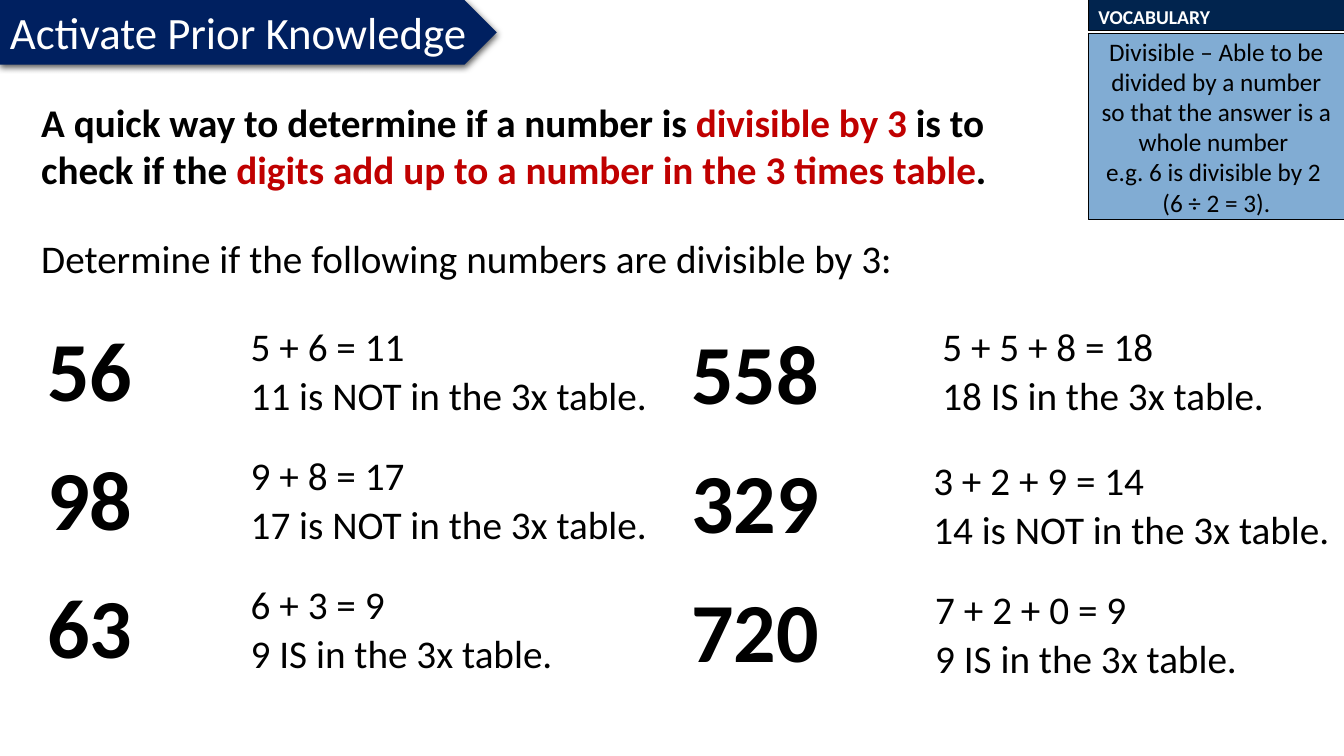
from lxml.etree import SubElement
from pptx import Presentation
from pptx.dml.color import RGBColor
from pptx.enum.shapes import MSO_SHAPE
from pptx.enum.text import MSO_ANCHOR, MSO_AUTO_SIZE, PP_ALIGN
from pptx.oxml.ns import qn
from pptx.util import Cm, Pt

NAVY = RGBColor(0x00, 0x20, 0x60)
DARK_NAVY = RGBColor(0x01, 0x24, 0x4E)
BLUE = RGBColor(0x2E, 0x75, 0xB6)
RED = RGBColor(0xC0, 0x00, 0x00)
BLACK = RGBColor(0x00, 0x00, 0x00)
WHITE = RGBColor(0xFF, 0xFF, 0xFF)

# Each column: numbers, their left and top, sum width, and worked answers
# given as (left, top, sum, result)
COLUMNS = [
    (["56", "98", "63"], 0.94, 7.87, 2.84, 4.47, [
        (6.07, 8, "5 + 6 = 11", "11 is NOT in the 3x table."),
        (6.07, 11.25, "9 + 8 = 17", "17 is NOT in the 3x table."),
        (6.07, 14.5, "6 + 3 = 9", "9 IS in the 3x table."),
    ]),
    (["558", "329", "720"], 17.17, 7.95, 4.17, 7.11, [
        (23.5, 8, "5 + 5 + 8 = 18", "18 IS in the 3x table."),
        (23.27, 11.38, "3 + 2 + 9 = 14", "14 is NOT in the 3x table."),
        (23.32, 14.63, "7 + 2 + 0 = 9", "9 IS in the 3x table."),
    ]),
]
RESULT_DROP = 1.23


def write(frame, paragraphs, size, color=BLACK, bold=False,
          align=PP_ALIGN.LEFT, space_after=0):
    """Fill a text frame; each paragraph is a list of (text, colour) spans."""
    for index, spans in enumerate(paragraphs):
        para = frame.paragraphs[0] if index == 0 else frame.add_paragraph()
        para.alignment = align
        para.space_after = Pt(space_after)
        for text, span_color in spans:
            span = para.add_run()
            span.text = text
            font_format = {"name": "Calibri", "size": Pt(size), "bold": bold}
            for name, value in font_format.items():
                setattr(span.font, name, value)
            span.font.color.rgb = span_color or color


def plain(*lines):
    return [[(line, None)] for line in lines]


def add_text(page, place, paragraphs, size, **text_format):
    box = page.shapes.add_textbox(*map(Cm, place))
    box.text_frame.word_wrap = True
    box.text_frame.auto_size = MSO_AUTO_SIZE.SHAPE_TO_FIT_TEXT
    write(box.text_frame, paragraphs, size, **text_format)


def add_panel(shapes, kind, place, fill, paragraphs, size,
              anchor=MSO_ANCHOR.TOP, outlined=True, **text_format):
    panel = shapes.add_shape(kind, *map(Cm, place))
    panel.shadow.inherit = False
    panel.fill.solid()
    panel.fill.fore_color.rgb = fill
    if outlined:
        panel.line.color.rgb = BLACK
        panel.line.width = Pt(0.75)
    else:
        panel.line.fill.background()
    panel.text_frame.word_wrap = True
    panel.text_frame.vertical_anchor = anchor
    write(panel.text_frame, paragraphs, size, **text_format)
    return panel


def set_alpha(color_element, percent):
    SubElement(color_element, qn("a:alpha"), val=str(percent * 1000))


def add_title(page):
    title = add_panel(page.shapes, MSO_SHAPE.PENTAGON, (0, 0, 12.52, 1.63), NAVY,
                      plain("Activate Prior Knowledge"), 32,
                      outlined=False, color=WHITE)
    title.text_frame.word_wrap = False
    effects = title._element.spPr.find(qn("a:effectLst"))
    shadow = SubElement(effects, qn("a:outerShdw"), blurRad=str(Pt(4.5)),
                        dist=str(Pt(1.5)), dir="5400000", algn="ctr",
                        rotWithShape="0")
    set_alpha(SubElement(shadow, qn("a:srgbClr"), val=str(BLACK)), 63)


def add_vocabulary(page):
    group = page.shapes.add_group_shape()
    add_panel(group.shapes, MSO_SHAPE.RECTANGLE, (27.43, 0, 6.45, 0.78), DARK_NAVY,
              plain("VOCABULARY"), 14, color=WHITE, bold=True)
    definition = plain(
        "Divisible – Able to be divided by a number so that the answer is a whole number ",
        "e.g. 6 is divisible by 2 ", "(6 ÷ 2 = 3).")
    panel = add_panel(group.shapes, MSO_SHAPE.RECTANGLE, (27.43, 0.84, 6.45, 4.7),
                      BLUE, definition, 18, anchor=MSO_ANCHOR.MIDDLE,
                      align=PP_ALIGN.CENTER)
    fill = panel._element.spPr.find(qn("a:solidFill"))
    set_alpha(fill.find(qn("a:srgbClr")), 60)


def add_column(page, numbers, left, top, width, sum_width, answers):
    add_text(page, (left, top, width, 9.37), plain(*numbers), 60,
             bold=True, space_after=20)
    for answer_left, answer_top, total, result in answers:
        add_text(page, (answer_left, answer_top, sum_width, 1.45), plain(total), 28)
        add_text(page, (answer_left, answer_top + RESULT_DROP, 10.85, 1.45),
                 plain(result), 28)


def main():
    deck = Presentation()
    deck.slide_width, deck.slide_height = Cm(33.87), Cm(19.05)
    page = deck.slides.add_slide(deck.slide_layouts[6])

    # Heading and rule
    add_title(page)
    rule = [[("A quick way to determine if a number is ", None),
             ("divisible by 3 ", RED),
             ("is to check if the ", None),
             ("digits add up to a number in the 3 times table", RED),
             (".", None)]]
    add_text(page, (0.79, 2.36, 25.65, 2.64), rule, 28, bold=True)

    # Vocabulary card
    add_vocabulary(page)

    # Question and worked answers
    add_text(page, (0.79, 5.77, 25.65, 1.45),
             plain("Determine if the following numbers are divisible by 3:"), 28)
    for column in COLUMNS:
        add_column(page, *column)

    deck.save("out.pptx")


if __name__ == "__main__":
    main()
